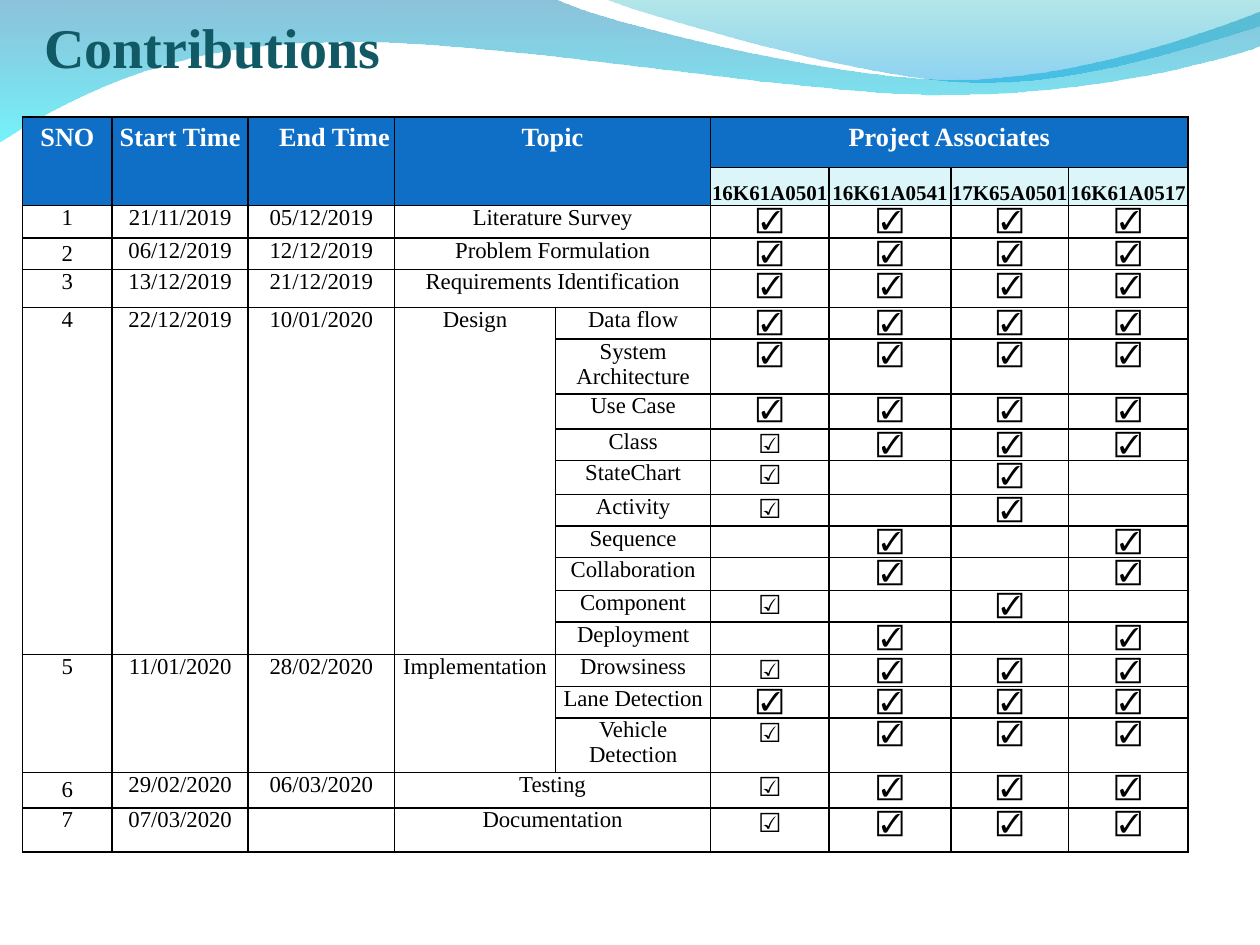
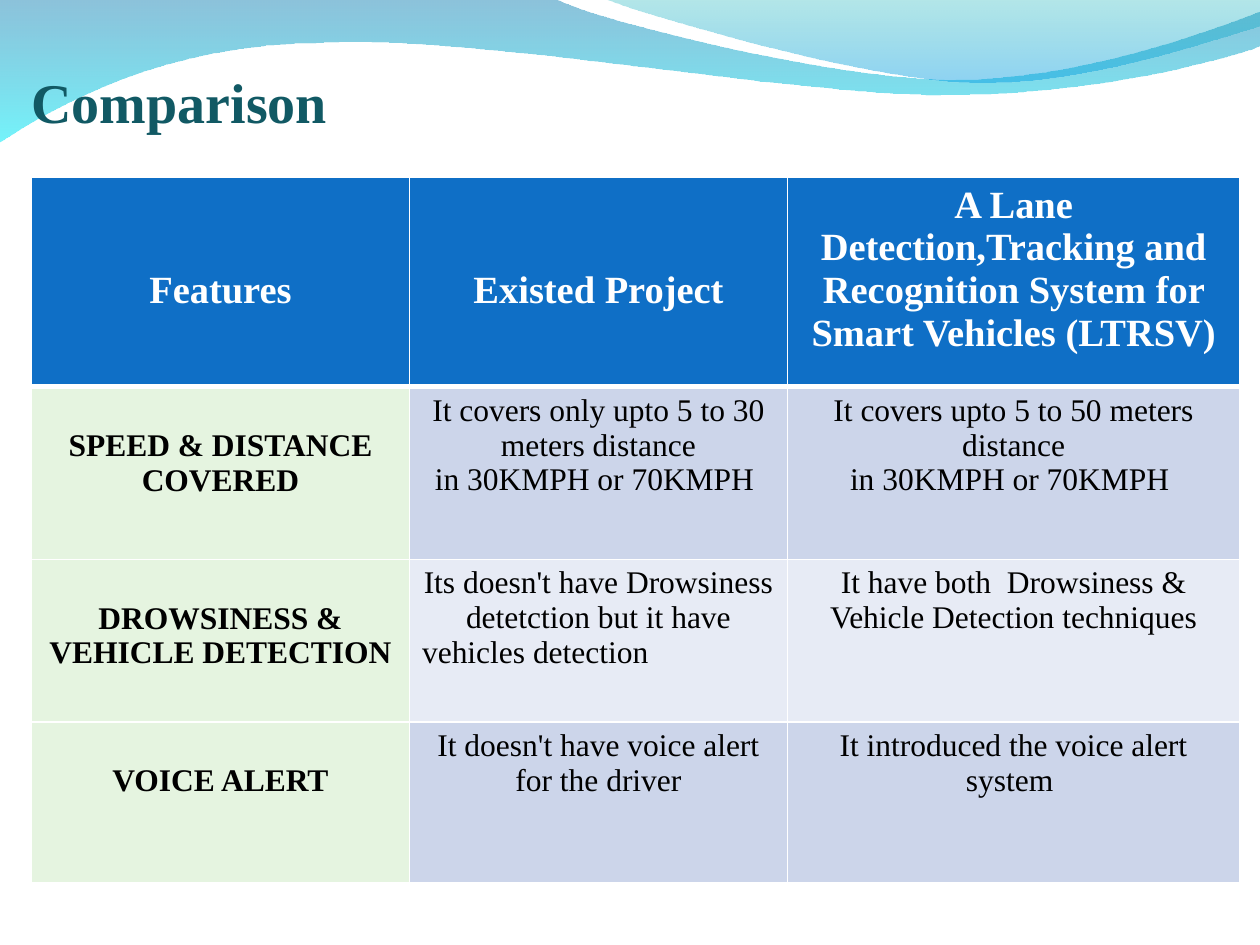
"""Build the Contributions and Comparison table slides."""
from lxml.etree import SubElement
from pptx import Presentation
from pptx.dml.color import RGBColor
from pptx.enum.text import MSO_ANCHOR, PP_ALIGN
from pptx.oxml import parse_xml
from pptx.oxml.ns import nsdecls, qn
from pptx.util import Inches, Pt

WHITE = RGBColor(0xFF, 0xFF, 0xFF)
BLACK = RGBColor(0, 0, 0)
TEAL = RGBColor(0x11, 0x59, 0x64)
BLUE = RGBColor(0x0F, 0x6F, 0xC6)
PALE_CYAN = RGBColor(0xDB, 0xF5, 0xF9)
PALE_GREEN = RGBColor(0xE5, 0xF4, 0xE0)
BAND_DARK = RGBColor(0xCC, 0xD5, 0xEA)
BAND_LIGHT = RGBColor(0xE7, 0xEB, 0xF5)
DEEP_SEA = RGBColor(0x00, 0x79, 0xAF)
AQUA = RGBColor(0x00, 0xEB, 0xF8)
LAGOON = RGBColor(0x00, 0xAD, 0xB6)
SKY = RGBColor(0x00, 0x9B, 0xE5)
SERIF, SYMBOL = "Times New Roman", "DejaVu Sans"
HEAD = {"size": Pt(15), "bold": True, "name": SERIF}
BODY = {"size": Pt(13), "bold": False, "name": SERIF}

WAVES = [
    ([(0, -0.01), (4.4, -0.01),
      (4.76, 0.17, 6.64, 0.63, 7.58, 0.63), (8.53, 0.63, 9.58, 0.26, 10, 0.09),
      (10.01, 0.36),
      (9.83, 0.44, 8.7, 0.76, 7.46, 0.75), (6.22, 0.75, 3.82, 0.28, 2.57, 0.34),
      (1.29, 0.35, 0.46, 0.83, -0.01, 1.13)],
     [(0, DEEP_SEA, 45), (100, AQUA, 55)]),
    ([(4.79, -0.01),
      (5.09, 0.11, 6.82, 0.62, 7.69, 0.65), (8.56, 0.69, 9.61, 0.32, 10, 0.21),
      (10, 0)],
     [(0, LAGOON, 30), (100, SKY, 45)]),
]
TITLES = [("Contributions", 0.35, 0.18, 9, 0.45),
          ("Comparison", 0.25, 0.49, 8.9, 0.58)]


def add_table(s, left, top, cols, rows):
    """Add a table whose columns and rows have the given sizes in inches."""
    table = s.shapes.add_table(len(rows), len(cols), Inches(left), Inches(top),
                               Inches(sum(cols)), Inches(sum(rows))).table
    for col, width in zip(table.columns, cols):
        col.width = Inches(width)
    for row, height in zip(table.rows, rows):
        row.height = Inches(height)
    return table


def set_cell(cell, text, font, color=BLACK, fill=None, line=BLACK, widths=(1, 1, 1, 1),
             margins=(0, 0, 0, 0), anchor=MSO_ANCHOR.TOP, spacing=None):
    """Write centred text in a cell and set its fill and its four borders."""
    cell.text, cell.vertical_anchor = text, anchor
    for side, margin in zip(("left", "top", "right", "bottom"), margins):
        setattr(cell, f"margin_{side}", Inches(margin))
    if fill is None:
        cell.fill.background()
    else:
        cell.fill.solid()
        cell.fill.fore_color.rgb = fill
    for p in cell.text_frame.paragraphs:
        p.alignment, p.line_spacing = PP_ALIGN.CENTER, spacing
        for r in p.runs:
            r.font.color.rgb = color
            for key, value in font.items():
                setattr(r.font, key, value)
        if not p.runs:
            SubElement(p._p, qn("a:endParaRPr"), sz=str(int(font["size"].pt * 100)))
    tc_pr = cell._tc.get_or_add_tcPr()
    for i, (side, width) in enumerate(zip("LRTB", widths)):
        tc_pr.insert(i, parse_xml(
            f'<a:ln{side} {nsdecls("a")} w="{Pt(width)}"><a:solidFill>'
            f'<a:srgbClr val="{line}"/></a:solidFill></a:ln{side}>'))


prs = Presentation()
prs.slide_width, prs.slide_height = Inches(10), Inches(7.5)
slides = []
for title, *box in TITLES:
    s = prs.slides.add_slide(prs.slide_layouts[6])
    slides.append(s)
    for outline, stops in WAVES:
        points = [(Inches(step[i]), Inches(step[i + 1]))
                  for step in outline for i in range(0, len(step), 2)]
        builder = s.shapes.build_freeform(*points[0])
        builder.add_line_segments(points[1:], close=True)
        sp = builder.convert_to_shape()
        sp.shadow.inherit = False
        sp.line.fill.background()
        segments = iter(list(sp._element.iter(qn("a:lnTo"))))
        for step in outline[1:]:
            segment = next(segments)
            if len(step) == 6:
                segment.tag = qn("a:cubicBezTo")
                for _ in range(2):
                    extra = next(segments)
                    segment.append(extra[0])
                    extra.getparent().remove(extra)
        marks = "".join(f'<a:gs pos="{pos * 1000}"><a:srgbClr val="{color}">'
                        f'<a:alpha val="{alpha * 1000}"/></a:srgbClr></a:gs>'
                        for pos, color, alpha in stops)
        sp._element.spPr.find(qn("a:custGeom")).addnext(parse_xml(
            f'<a:gradFill {nsdecls("a")} rotWithShape="1"><a:gsLst>{marks}</a:gsLst>'
            '<a:lin ang="5400000" scaled="0"/></a:gradFill>'))
    tf = s.shapes.add_textbox(*map(Inches, box)).text_frame
    frame = {"word_wrap": True, "vertical_anchor": MSO_ANCHOR.BOTTOM, "margin_left": 0,
             "margin_right": 0, "margin_top": Inches(0.05), "margin_bottom": 0}
    for key, value in frame.items():
        setattr(tf, key, value)
    r = tf.paragraphs[0].add_run()
    r.text = title
    r.font.color.rgb = TEAL
    for key, value in {"size": Pt(32), "bold": True, "name": SERIF}.items():
        setattr(r.font, key, value)

HEADINGS = ["SNO", "Start Time", "End Time", "Topic", "", "Project Associates", "", "", ""]
ASSOCIATES = ["16K61A0501", "16K61A0541", "17K65A0501", "16K61A0517"]
TICK_FONTS = {"T": SERIF, "D": SYMBOL}
TASKS = [
    (0.26, "1", "21/11/2019", "05/12/2019", "Literature Survey", "", "TTTT"),
    (0.25, "2", "06/12/2019", "12/12/2019", "Problem Formulation", "", "TTTT"),
    (0.3, "3", "13/12/2019", "21/12/2019", "Requirements Identification", "", "TTTT"),
    (0.25, "4", "22/12/2019", "10/01/2020", "Design", "Data flow", "TTTT"),
    (0.43, "", "", "", "", "System\nArchitecture", "TTTT"),
    (0.28, "", "", "", "", "Use Case", "TTTT"),
    (0.25, "", "", "", "", "Class", "DTTT"),
    (0.27, "", "", "", "", "StateChart", "D-T-"),
    (0.25, "", "", "", "", "Activity", "D-T-"),
    (0.25, "", "", "", "", "Sequence", "-T-T"),
    (0.26, "", "", "", "", "Collaboration", "-T-T"),
    (0.25, "", "", "", "", "Component", "D-T-"),
    (0.26, "", "", "", "", "Deployment", "-T-T"),
    (0.25, "5", "11/01/2020", "28/02/2020", "Implementation", "Drowsiness", "DTTT"),
    (0.25, "", "", "", "", "Lane Detection", "TTTT"),
    (0.43, "", "", "", "", "Vehicle Detection", "DTTT"),
    (0.28, "6", "29/02/2020", "06/03/2020", "Testing", "", "DTTT"),
    (0.35, "7", "07/03/2020", "", "Documentation", "", "DTTT"),
]
table = add_table(slides[0], 0.18, 0.93,
                  [0.71, 1.08, 1.16, 1.28, 1.23, 0.94, 0.97, 0.93, 0.95],
                  [0.4, 0.26] + [task[0] for task in TASKS])
for c, heading in enumerate(HEADINGS):
    set_cell(table.cell(0, c), heading, HEAD, WHITE, BLUE, spacing=1.2)
    if c < 5:
        set_cell(table.cell(1, c), "", BODY, fill=BLUE)
    else:
        set_cell(table.cell(1, c), ASSOCIATES[c - 5], {**HEAD, "size": Pt(12)},
                 fill=PALE_CYAN, anchor=MSO_ANCHOR.BOTTOM, spacing=Pt(13.7))
table.cell(0, 2).margin_left = Inches(0.21)
for row, (height, *texts, ticks) in enumerate(TASKS, 2):
    for c, text in enumerate(texts):
        middle = c == 0 and text in ("2", "6")
        set_cell(table.cell(row, c), text, BODY,
                 anchor=MSO_ANCHOR.MIDDLE if middle else MSO_ANCHOR.TOP)
    for c, tick in enumerate(ticks, 5):
        font = {**BODY, "size": Pt(15), "name": TICK_FONTS[tick]} if tick in TICK_FONTS else BODY
        set_cell(table.cell(row, c), "☑" if tick in TICK_FONTS else "", font)
    if not texts[4]:
        table.cell(row, 3).merge(table.cell(row, 4))
for c in range(3):
    table.cell(0, c).merge(table.cell(1, c))
table.cell(0, 3).merge(table.cell(1, 4))
table.cell(0, 5).merge(table.cell(0, 8))
for first, last in ((5, 14), (15, 17)):
    for c in range(4):
        table.cell(first, c).merge(table.cell(last, c))

FEATURES = [
    ("Features", "Existed Project",
     "A Lane Detection,Tracking and Recognition System for Smart Vehicles (LTRSV)"),
    ("SPEED & DISTANCE COVERED",
     "It covers only upto 5 to 30 meters distance\nin 30KMPH or 70KMPH ",
     "It covers upto 5 to 50 meters distance\nin 30KMPH or 70KMPH "),
    ("DROWSINESS & VEHICLE DETECTION",
     "Its doesn't have Drowsiness detetction but it have\nvehicles detection",
     "It have both  Drowsiness & Vehicle Detection techniques"),
    ("VOICE ALERT", "It doesn't have voice alert for the driver",
     "It introduced the voice alert system "),
]
table = add_table(slides[1], 0.25, 1.41, [3, 3, 3.59], [1.66, 1.37, 1.29, 1.28])
for row, texts in enumerate(FEATURES):
    for c, text in enumerate(texts):
        header = row == 0
        band = BAND_DARK if row % 2 else BAND_LIGHT
        drop = (0.68 if c < 2 else 0) if header else (0.28 if c == 0 else 0)
        set_cell(table.cell(row, c), text,
                 {"size": Pt(22 if header else 18), "bold": header or c == 0, "name": SERIF},
                 WHITE if header else BLACK,
                 BLUE if header else PALE_GREEN if c == 0 else band, WHITE,
                 (1, 1, 3 if row == 1 else 1, 3 if header else 1),
                 (0.1, 0.05 + drop, 0.1, 0.05))
table.cell(2, 1).text_frame.paragraphs[1].alignment = PP_ALIGN.LEFT

prs.save("out.pptx")
